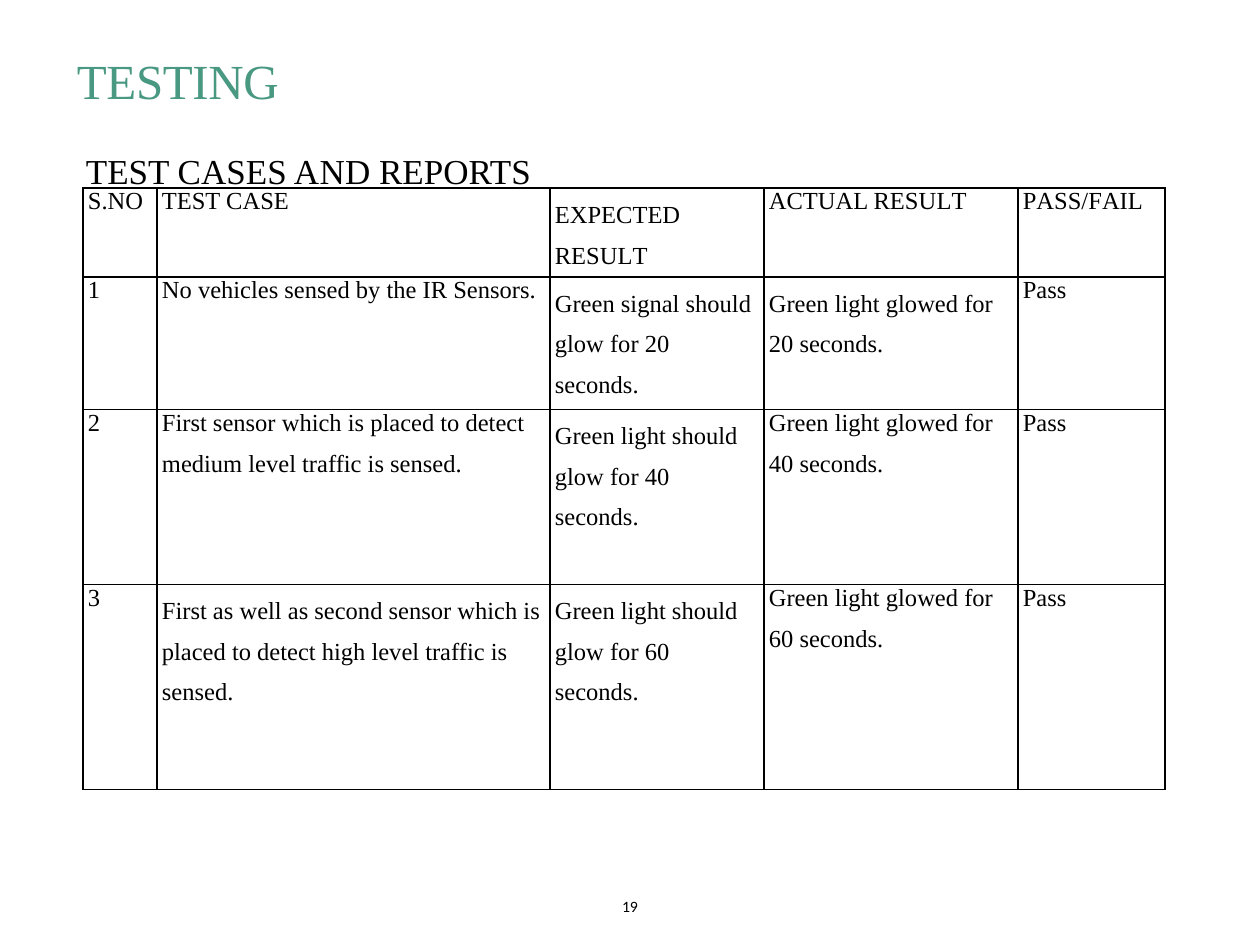
from lxml.etree import SubElement
from pptx import Presentation
from pptx.dml.color import RGBColor
from pptx.enum.text import MSO_ANCHOR, PP_ALIGN
from pptx.oxml.ns import qn
from pptx.util import Pt

PX = 914400 / 126
SERIF = "Times New Roman"


def px(n):
    return round(n * PX)


def write(p, text, size, font=SERIF, color="000000", tight=-1.4):
    p.alignment = PP_ALIGN.LEFT
    for i, part in enumerate(text.split("|")):
        if part:
            r = p.add_run()
            r.text = part
            r.font.size = Pt(size)
            r.font.name = font
            r.font.color.rgb = RGBColor.from_string(color)
            if i % 2:
                r.font._element.set("spc", str(round(tight * 100)))


prs = Presentation()
prs.slide_width, prs.slide_height = px(1260), px(945)
s = prs.slides.add_slide(prs.slide_layouts[5])

title = s.shapes.title
subtitle = s.shapes.add_textbox(0, 0, 0, 0)
number = s.shapes.add_textbox(0, 0, 0, 0)
texts = [
    (title, (76, 50, 1109, 93), (1, 0), "|TESTING|", 28, SERIF, "489882"),
    (subtitle, (84, 150, 452, 35), (2, 0), "TEST CASES| AN|D REPORTS", 20, SERIF, "000000"),
    (number, (609, 896, 34, 20), (13, 1), "19", 9, "Calibri", "000000"),
]
spacings = [-0.2, 0.1, -0.1]
for (sp, box, (left, top), text, size, font, color), spacing in zip(texts, spacings):
    sp.left, sp.top, sp.width, sp.height = map(px, box)
    tf = sp.text_frame
    tf.word_wrap = True
    tf.vertical_anchor = MSO_ANCHOR.TOP
    tf.margin_left, tf.margin_top = px(left), px(top)
    tf.margin_right = tf.margin_bottom = 0
    write(tf.paragraphs[0], text, size, font, color, spacing)

cols = [74, 393, 214, 254, 147]
heights = [89, 132, 175, 205]
rows = [
    ["S.NO", "TEST CASE", "EXPECTED RESU|L|T", "ACTUAL RESU|L|T", "|P|ASS/|F|AIL"],
    ["1", "No vehicles sensed by the IR Sensors.",
     "Green signal should glow for 20 seconds.",
     "Green light glowed for 20 seconds.", "Pass"],
    ["2", "First sensor which is placed to detect\nmedium level traffic is sensed.",
     "Green light should glow for 40 seconds.",
     "Green light glowed for\n40 seconds.", "Pass"],
    ["3", "First as well as second sensor which is placed to detect high level traffic is sensed.",
     "Green light should glow for 60 seconds.",
     "Green light glowed for\n60 seconds.", "Pass"],
]
spaced = {(0, 2), (1, 2), (1, 3), (2, 2), (3, 1), (3, 2)}

table = s.shapes.add_table(
    len(rows), len(cols), px(83), px(188), px(sum(cols)), px(sum(heights))
).table
table.first_row = table.horz_banding = False
for col, width in zip(table.columns, cols):
    col.width = px(width)
for row, height in zip(table.rows, heights):
    row.height = px(height)

for i, row in enumerate(rows):
    for j, text in enumerate(row):
        cell = table.cell(i, j)
        cell.margin_left = px(5)
        cell.margin_right = px(6)
        cell.margin_top = cell.margin_bottom = 0
        cell.vertical_anchor = MSO_ANCHOR.TOP
        tf = cell.text_frame
        for k, line in enumerate(text.split("\n")):
            p = tf.add_paragraph() if k else tf.paragraphs[0]
            if k:
                p.space_before = Pt(8.4)
            if (i, j) in spaced:
                p.line_spacing = 1.5
            write(p, line, 14)
        tcPr = cell._tc.get_or_add_tcPr()
        for side in ("a:lnL", "a:lnR", "a:lnT", "a:lnB"):
            ln = SubElement(tcPr, qn(side), w=str(Pt(1)))
            SubElement(SubElement(ln, qn("a:solidFill")), qn("a:srgbClr"), val="000000")
        cell.fill.background()

prs.save("out.pptx")
